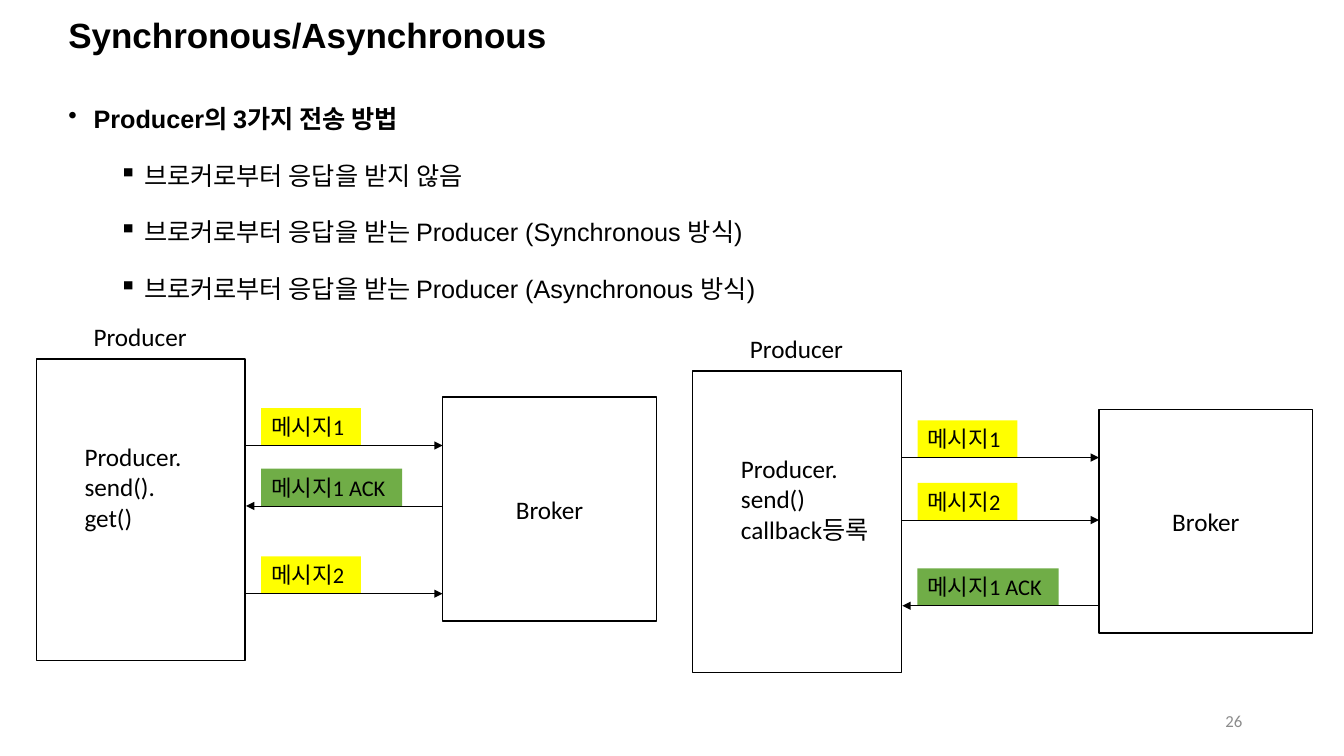
from lxml.etree import SubElement
from pptx import Presentation
from pptx.dml.color import RGBColor
from pptx.enum.shapes import MSO_CONNECTOR, MSO_SHAPE
from pptx.enum.text import MSO_ANCHOR, MSO_AUTO_SIZE, PP_ALIGN
from pptx.oxml.ns import qn
from pptx.util import Inches, Pt


def color(value):
    return RGBColor.from_string(value)


def add_box(left, top, width, height, lines=(), size=18, fill=None, outline=False,
            font="Calibri", text_color="000000", align=PP_ALIGN.LEFT,
            anchor=MSO_ANCHOR.TOP, fit=False):
    place = [Inches(value) for value in (left, top, width, height)]
    if fill or outline:
        shape = slide.shapes.add_shape(MSO_SHAPE.RECTANGLE, *place)
        shape.shadow.inherit = False
        if fill:
            shape.fill.solid()
            shape.fill.fore_color.rgb = color(fill)
        else:
            shape.fill.background()
        if outline:
            shape.line.color.rgb = color("000000")
            shape.line.width = Pt(1)
        else:
            shape.line.fill.background()
    else:
        shape = slide.shapes.add_textbox(*place)
    frame = shape.text_frame
    frame.word_wrap = not fit
    frame.auto_size = MSO_AUTO_SIZE.SHAPE_TO_FIT_TEXT if fit else MSO_AUTO_SIZE.NONE
    frame.vertical_anchor = anchor
    frame.text = "\n".join(lines)
    for paragraph in frame.paragraphs:
        paragraph.alignment = align
        paragraph.font.name = font
        paragraph.font.size = Pt(size)
        paragraph.font.color.rgb = color(text_color)
    return shape


presentation = Presentation()
presentation.slide_width = Inches(13.33)
presentation.slide_height = Inches(7.5)
slide = presentation.slides.add_slide(presentation.slide_layouts[6])

title = add_box(0.58, 0.18, 11.5, 0.38, ["Synchronous/Asynchronous"], size=25,
                font="Arial", anchor=MSO_ANCHOR.MIDDLE)
title_paragraph = title.text_frame.paragraphs[0]
title_paragraph.font.bold = True
title_paragraph.line_spacing = 0.9

body = add_box(0.58, 0.83, 12.39, 6.44, [
    "Producer의 3가지 전송 방법",
    "브로커로부터 응답을 받지 않음",
    "브로커로부터 응답을 받는 Producer (Synchronous 방식)",
    "브로커로부터 응답을 받는 Producer (Asynchronous 방식)",
], font="Arial")
for index, paragraph in enumerate(body.text_frame.paragraphs):
    heading = index == 0
    paragraph.level = 0 if heading else 1
    paragraph.font.bold = heading
    paragraph.line_spacing = 1.5
    paragraph.space_before = Pt(10 if heading else 5)
    paragraph.space_after = Pt(3)
    properties = paragraph._p.get_or_add_pPr()
    properties.set("marL", str(Inches(0.25 if heading else 0.75)))
    properties.set("indent", str(Inches(-0.25)))
    bullet = properties.makeelement(qn("a:buChar"), {"char": "•" if heading else "▪"})
    properties.insert_element_before(bullet, "a:tabLst", "a:defRPr", "a:extLst")

add_box(9.42, 6.95, 3, 0.4, ["26"], size=12, text_color="8C8C8C",
        align=PP_ALIGN.RIGHT, anchor=MSO_ANCHOR.MIDDLE)

message_1 = ("메시지1", 0.99, "FFFF00", True)
message_2 = ("메시지2", 0.99, "FFFF00", True)
acknowledgement = ("메시지1 ACK", 1.4, "70AD47", False)
panels = [
    (0.36, 3.56, ["Producer.", "send().", "get()"], 1.17,
     [(0.49, message_1), (1.09, acknowledgement), (1.96, message_2)]),
    (6.87, 3.68, ["Producer.", "send()", "callback등록"], 1.52,
     [(0.49, message_1), (1.11, message_2), (1.96, acknowledgement)]),
]
for left, top, code, code_width, messages in panels:
    add_box(left + 4.03, top + 0.38, 2.12, 2.22, ["Broker"], outline=True,
            align=PP_ALIGN.CENTER, anchor=MSO_ANCHOR.MIDDLE)
    add_box(left + 0.47, top - 0.42, 1.14, 0.4, ["Producer"], fit=True)
    add_box(left, top, 2.07, 2.99, outline=True)
    add_box(left + 0.38, top + 0.77, code_width, 1.01, code, fit=True)
    for offset, (label, width, fill, to_broker) in messages:
        add_box(left + 2.23, top + offset, width, 0.37, [label], size=16,
                fill=fill, fit=True)
        ends = [Inches(left + 2.08), Inches(left + 4.03)]
        start, end = ends if to_broker else reversed(ends)
        height = Inches(top + offset + 0.37)
        arrow = slide.shapes.add_connector(MSO_CONNECTOR.STRAIGHT, start, height, end, height)
        arrow.line.color.rgb = color("000000")
        arrow.line.width = Pt(0.5)
        SubElement(arrow.line._get_or_add_ln(), qn("a:tailEnd"), type="triangle")
        SubElement(arrow._element.spPr, qn("a:effectLst"))

presentation.save("out.pptx")
